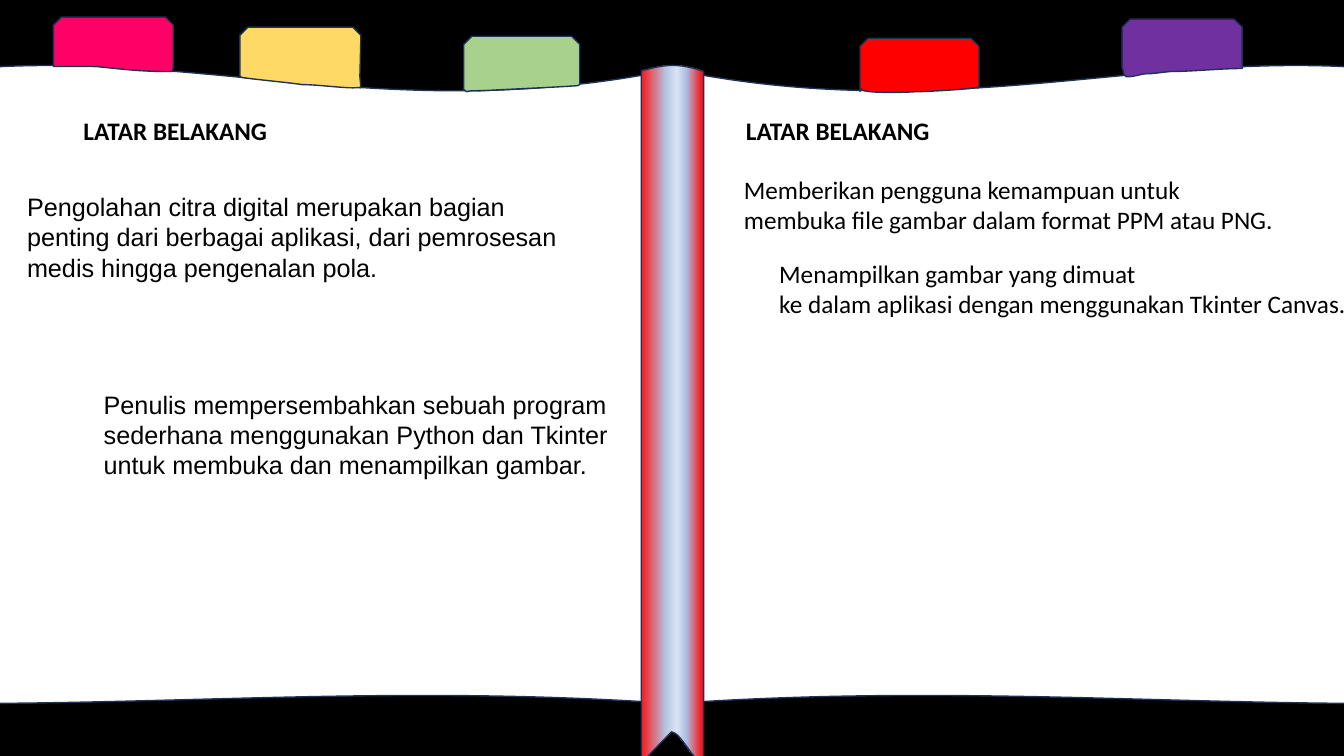
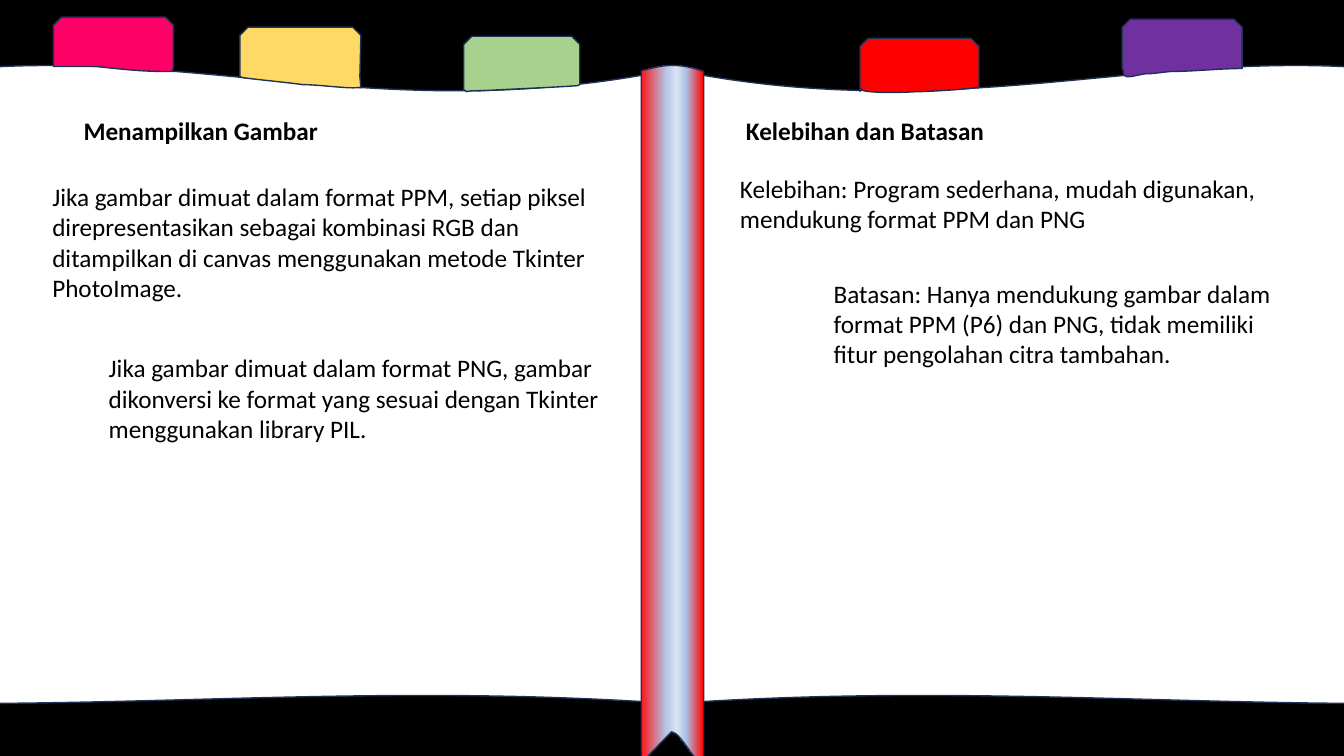
from lxml import etree
from pptx import Presentation
from pptx import util as u
from pptx.dml.color import RGBColor
from pptx.enum import text
from pptx.oxml.ns import qn

PX = 9144
COLORS = {"back": "000000", "page": "FFFFFF", "edge": "1E3256", "ink": "000000",
          "pink": "FF0066", "yellow": "FFD966", "green": "A9D18E",
          "red": "FF0000", "purple": "7030A0"}
SPINE_STOPS = [(0, "F91619"), (40, "B4C7E7"), (57, "DAE3F3"), (72, "ABC0E4"), (100, "FF0000")]
FORMATS = {
    "title": {"name": "Calibri", "size": u.Pt(18), "bold": True},
    "body": {"name": "Calibri", "size": u.Pt(18)},
    "arial": {"name": "Arial", "size": u.Pt(18)},
}
CENTER = 667
PAGE_BOX = (-40, 65, 707, 633)
PAGE = [(667, 69), (387, 126, 196, 47, -40, 69), (-6, 346, -40, 488, -40, 698),
        (195, 698, 407, 680, 667, 698), (667, 69)]
SPINE_BOX = (636, 65, 62, 692)
SPINE = [(636, 70), (649, 68, 666, 59, 698, 71), (698, 300, 698, 528, 698, 757),
         (688, 757, 676, 727, 666, 726), (636, 757), (636, 527, 636, 300, 636, 70)]
TABS = [
    ("pink", (53, 17, 119, 54),
     [(172, 66), (171, 71), (146, 71, 131, 70, 96, 66), (53, 66), (53, 66)]),
    ("red", (853, 38, 118, 54),
     [(971, 87), (971, 87), (965, 87, 971, 87, 960, 88), (950, 89, 921, 91, 909, 91),
      (893, 92, 873, 92, 863, 91), (854, 90, 854, 89, 853, 87), (853, 91)]),
    ("green", (460, 36, 115, 54),
     [(575, 84), (573, 85), (564, 86, 495, 89, 479, 90), (464, 91, 489, 89, 479, 90),
      (470, 90, 465, 90, 463, 91), (460, 89), (460, 74, 460, 59, 460, 45)]),
    ("yellow", (238, 27, 120, 60),
     [(357, 76), (358, 87), (354, 88, 363, 86, 354, 87), (344, 88, 316, 84, 300, 84),
      (287, 82, 254, 79, 241, 77), (238, 76), (238, 76)]),
    ("purple", (1113, 19, 119, 56),
     [(1232, 68), (1232, 68), (1210, 68, 1183, 71, 1160, 71), (1158, 71, 1139, 74, 1137, 73),
      (1130, 74, 1121, 77, 1117, 76), (1113, 75, 1115, 69, 1113, 68), (1113, 68)]),
]
SLIDES = [
    [
        ("title", (73, 109, 204, 40), ["LATAR BELAKANG"]),
        ("arial", (17, 154, 557, 131),
         ["Pengolahan citra digital merupakan bagian",
          "penting dari berbagai aplikasi, dari pemrosesan",
          "medis hingga pengenalan pola."], {"margin_top": 36 * PX}),
        ("arial", (93, 381, 538, 131),
         ["Penulis mempersembahkan sebuah program",
          "sederhana menggunakan Python dan Tkinter",
          "untuk membuka dan menampilkan gambar."]),
        ("title", (730, 109, 204, 40), ["LATAR BELAKANG"]),
        ("body", (728, 168, 551, 71),
         ["Memberikan pengguna kemampuan untuk",
          "membuka file gambar dalam format PPM atau PNG."]),
        ("body", (763, 251, 588, 71),
         ["Menampilkan gambar yang dimuat",
          "ke dalam aplikasi dengan menggunakan Tkinter Canvas."]),
    ],
    [
        ("title", (73, 109, 255, 40), ["Menampilkan Gambar"]),
        ("title", (730, 109, 258, 40), ["Kelebihan dan Batasan"]),
        ("body", (724, 167, 592, 71),
         ["Kelebihan: Program sederhana, mudah digunakan, mendukung format PPM dan PNG"],
         {"word_wrap": True}),
        ("body", (42, 175, 561, 131),
         ["Jika gambar dimuat dalam format PPM, setiap piksel direpresentasikan sebagai "
          "kombinasi RGB dan ditampilkan di canvas menggunakan metode Tkinter PhotoImage."],
         {"word_wrap": True}),
        ("body", (98, 345, 575, 131),
         ["Jika gambar dimuat dalam format PNG, gambar dikonversi ke format yang sesuai "
          "dengan Tkinter menggunakan library PIL."], {"word_wrap": True}),
        ("body", (817, 271, 484, 131),
         ["Batasan: Hanya mendukung gambar dalam format PPM (P6) dan PNG, tidak memiliki "
          "fitur pengolahan citra tambahan."], {"word_wrap": True}),
    ],
]


def color(name):
    return RGBColor.from_string(COLORS[name])


def mirror(path):
    return [tuple(2 * CENTER - v if i % 2 == 0 else v for i, v in enumerate(seg)) for seg in path]


class Deck:
    def __init__(self, width, height):
        self.prs = Presentation()
        self.prs.slide_width, self.prs.slide_height = width * PX, height * PX
        self.s = None

    def slide(self):
        self.s = self.prs.slides.add_slide(self.prs.slide_layouts[6])
        fill = self.s.background.fill
        fill.solid()
        fill.fore_color.rgb = color("back")

    def outline(self, box, path, fill=None):
        x, y, w, h = box
        builder = self.s.shapes.build_freeform(x, y, scale=PX)
        builder.add_line_segments([(x + w, y), (x + w, y + h), (x, y + h)])
        sp = builder.convert_to_shape()
        self.curves(sp, box, path)
        sp.shadow.inherit = False
        sp.line.color.rgb = color("edge")
        sp.line.width = u.Pt(1)
        if fill:
            sp.fill.solid()
            sp.fill.fore_color.rgb = color(fill)
        return sp

    def curves(self, sp, box, path):
        x, y, w, h = box
        geom = next(sp.element.iter(qn("a:path")))
        for old in list(geom):
            geom.remove(old)
        geom.set("w", str(w * PX))
        geom.set("h", str(h * PX))
        for i, seg in enumerate(path):
            tag = "a:moveTo" if i == 0 else "a:lnTo" if len(seg) == 2 else "a:cubicBezTo"
            step = etree.SubElement(geom, qn(tag))
            for px, py in zip(seg[::2], seg[1::2]):
                etree.SubElement(step, qn("a:pt"), x=str((px - x) * PX), y=str((py - y) * PX))
        etree.SubElement(geom, qn("a:close"))

    def spine(self):
        sp = self.outline(SPINE_BOX, SPINE)
        sp.fill.gradient()
        sp.fill.gradient_angle = 0
        stops = next(sp.element.iter(qn("a:gsLst")))
        for gs in list(stops):
            stops.remove(gs)
        for pos, rgb in SPINE_STOPS:
            gs = etree.SubElement(stops, qn("a:gs"), pos=str(pos * 1000))
            etree.SubElement(gs, qn("a:srgbClr"), val=rgb)

    def tab(self, fill, box, bottom, cut=8):
        x, y, w, _ = box
        start = (x + cut, y)
        top = [start, (x + w - cut, y), (x + w, y + cut)]
        self.outline(box, top + bottom + [(x, y + cut), start], fill)

    def book(self):
        self.outline((CENTER, *PAGE_BOX[1:]), mirror(PAGE), "page")
        self.outline(PAGE_BOX, PAGE, "page")
        self.spine()
        for tab in TABS:
            self.tab(*tab)

    def text(self, style, box, lines, frame=None):
        sp = self.s.shapes.add_textbox(*(v * PX for v in box))
        tf = sp.text_frame
        base = {"word_wrap": False, "auto_size": text.MSO_AUTO_SIZE.SHAPE_TO_FIT_TEXT}
        for key, value in {**base, **(frame or {})}.items():
            setattr(tf, key, value)
        for i, line in enumerate(lines):
            p = tf.add_paragraph() if i else tf.paragraphs[0]
            r = p.add_run()
            r.text = line
            for key, value in FORMATS[style].items():
                setattr(r.font, key, value)
            r.font.color.rgb = color("ink")


def main():
    deck = Deck(1333, 750)
    for items in SLIDES:
        deck.slide()
        deck.book()
        for item in items:
            deck.text(*item)
    deck.prs.save("out.pptx")


if __name__ == "__main__":
    main()
